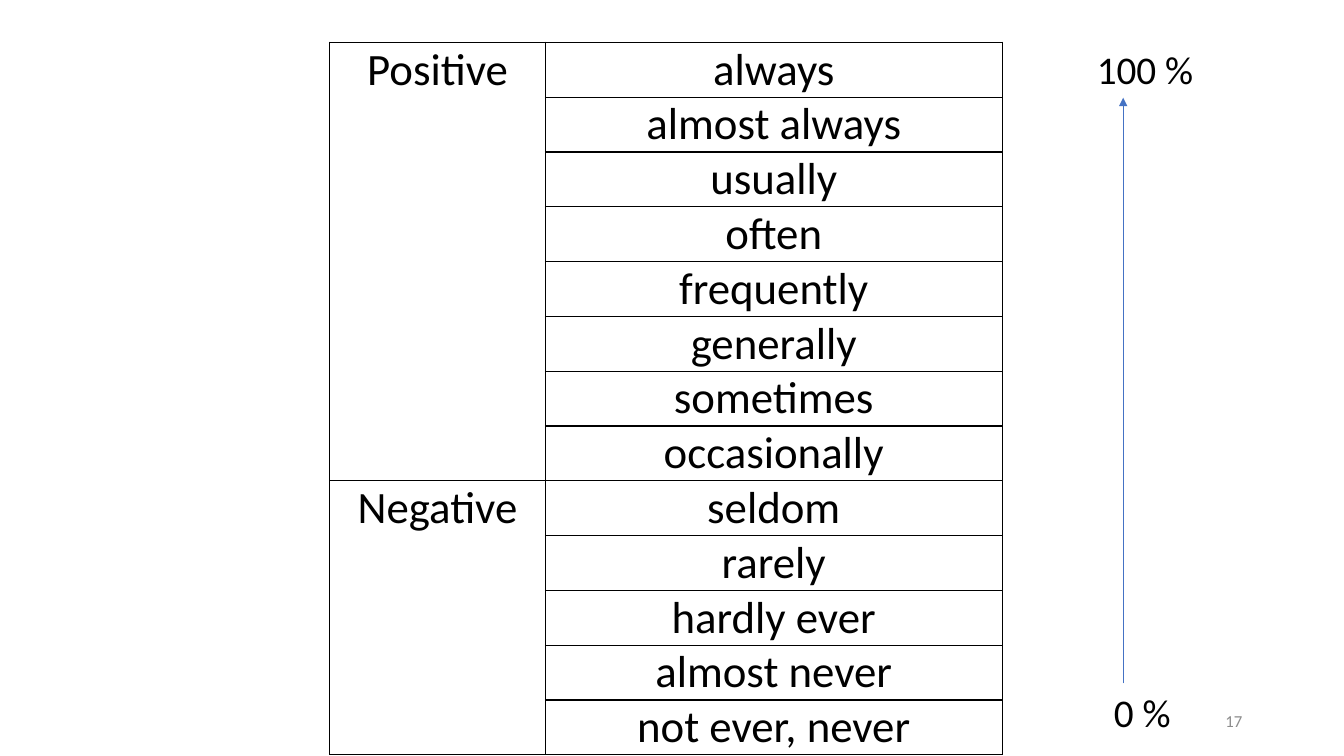
from dataclasses import dataclass

from lxml.etree import SubElement
from pptx import Presentation
from pptx.dml.color import RGBColor
from pptx.enum.shapes import MSO_CONNECTOR as Connector
from pptx.enum.text import MSO_ANCHOR as Anchor, MSO_AUTO_SIZE as AutoSize, PP_ALIGN as Align
from pptx.oxml.ns import qn
from pptx.util import Inches, Pt


@dataclass(frozen=True)
class Theme:
    """Colours, font and type sizes of the slide."""
    font: str = "Calibri"
    ink: str = "000000"
    accent: str = "4472C4"
    muted: str = "8C8C8C"
    table_size: int = 32
    scale_size: int = 28
    number_size: int = 12
    border: float = 1
    arrow: float = 0.5


THEME = Theme()

ADVERBS = {
    "Positive": ["always", "almost always", "usually", "often", "frequently",
                 "generally", "sometimes", "occasionally"],
    "Negative": ["seldom", "rarely", "hardly ever", "almost never", "not ever, never"],
}


def style_paragraph(paragraph, size, colour, align):
    """Set the font and alignment of a paragraph."""
    paragraph.alignment = align
    paragraph.font.name = THEME.font
    paragraph.font.size = Pt(size)
    paragraph.font.color.rgb = RGBColor.from_string(colour)


def style_cell(cell):
    """Give a cell black borders, no fill and tight margins."""
    properties = cell._tc.get_or_add_tcPr()
    for side in ("lnL", "lnR", "lnT", "lnB"):
        line = SubElement(properties, qn(f"a:{side}"), w=str(Pt(THEME.border)))
        fill = SubElement(line, qn("a:solidFill"))
        SubElement(fill, qn("a:srgbClr"), val=THEME.ink)
    cell.fill.background()
    cell.margin_left = cell.margin_right = Inches(0.07)
    cell.margin_top = cell.margin_bottom = 0
    style_paragraph(cell.text_frame.paragraphs[0], THEME.table_size, THEME.ink, Align.CENTER)


def add_adverb_table(slide, left, top, width, height):
    """Add the table of adverbs grouped by polarity."""
    row_count = sum(map(len, ADVERBS.values()))
    table = slide.shapes.add_table(row_count, 2, Inches(left), Inches(top),
                                   Inches(width), Inches(height)).table
    table.first_row = table.horz_banding = False
    group_width = 2.14
    table.columns[0].width = Inches(group_width)
    table.columns[1].width = Inches(width - group_width)
    start = 0
    for group, adverbs in ADVERBS.items():
        end = start + len(adverbs)
        table.cell(start, 0).text = group
        for row, adverb in enumerate(adverbs, start):
            table.cell(row, 1).text = adverb
        table.cell(start, 0).merge(table.cell(end - 1, 0))
        start = end
    for cell in table.iter_cells():
        style_cell(cell)


def add_text(slide, text, left, top, width, height, size, colour=THEME.ink, align=Align.LEFT):
    """Add one line of text and return its frame."""
    frame = slide.shapes.add_textbox(Inches(left), Inches(top),
                                     Inches(width), Inches(height)).text_frame
    frame.word_wrap = True
    frame.text = text
    style_paragraph(frame.paragraphs[0], size, colour, align)
    return frame


def add_frequency_scale(slide, left, top, width, height):
    """Add the upward arrow between the 0 % and 100 % labels."""
    label_height = 0.57
    bottom = top + height - label_height
    maximum = add_text(slide, "100 %", left, top, width, label_height, THEME.scale_size)
    maximum.word_wrap = False
    minimum = add_text(slide, "0 %", left + 0.17, bottom, 1, label_height, THEME.scale_size)
    for frame in (maximum, minimum):
        frame.auto_size = AutoSize.SHAPE_TO_FIT_TEXT
    x = Inches(left + 0.36)
    arrow = slide.shapes.add_connector(Connector.STRAIGHT, x, Inches(bottom),
                                       x, Inches(top + label_height))
    arrow.line.color.rgb = RGBColor.from_string(THEME.accent)
    arrow.line.width = Pt(THEME.arrow)
    SubElement(arrow.line._get_or_add_ln(), qn("a:tailEnd"), type="triangle")
    SubElement(arrow._element.spPr, qn("a:effectLst"))


def add_slide_number(slide, left, top, width, height):
    """Add the slide number at the lower right."""
    frame = add_text(slide, "17", left, top, width, height,
                     THEME.number_size, THEME.muted, Align.RIGHT)
    frame.vertical_anchor = Anchor.MIDDLE


def main():
    """Build and save the presentation."""
    presentation = Presentation()
    presentation.slide_width = Inches(13.33)
    presentation.slide_height = Inches(7.5)
    slide = presentation.slides.add_slide(presentation.slide_layouts[6])
    add_adverb_table(slide, 3.27, 0.42, 6.67, 6.93)
    add_slide_number(slide, 9.42, 6.95, 3, 0.4)
    add_frequency_scale(slide, 10.78, 0.4, 1.17, 6.95)
    presentation.save("out.pptx")


if __name__ == "__main__":
    main()
